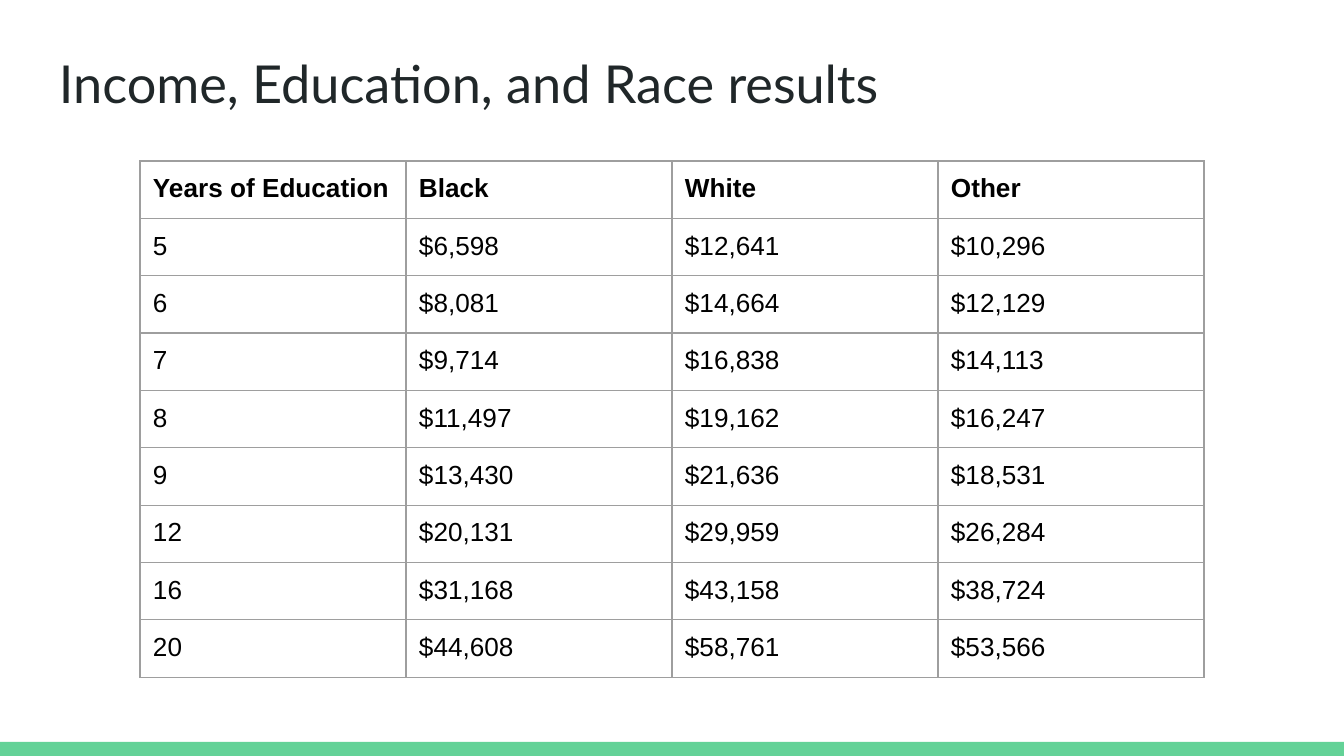
from lxml import etree
from pptx import Presentation
from pptx.dml.color import RGBColor
from pptx.enum.shapes import MSO_SHAPE
from pptx.enum.text import MSO_ANCHOR
from pptx.oxml.ns import qn
from pptx.util import Pt

TITLE = "Income, Education, and Race results"
HEADINGS = ("Years of Education", "Black", "White", "Other")
INCOMES = [
    (5, 6598, 12641, 10296),
    (6, 8081, 14664, 12129),
    (7, 9714, 16838, 14113),
    (8, 11497, 19162, 16247),
    (9, 13430, 21636, 18531),
    (12, 20131, 29959, 26284),
    (16, 31168, 43158, 38724),
    (20, 44608, 58761, 53566),
]

INK = RGBColor(0x20, 0x27, 0x29)
BLACK = RGBColor(0x00, 0x00, 0x00)
GREEN = RGBColor(0x63, 0xD2, 0x97)
GREY = RGBColor(0x9E, 0x9E, 0x9E)

TITLE_FONT = {"name": "Lato", "size": Pt(28), "bold": False}
HEADING_FONT = {"name": "Arial", "size": Pt(14), "bold": True}
BODY_FONT = {**HEADING_FONT, "bold": False}

RECTANGLE = MSO_SHAPE.RECTANGLE
TOP = MSO_ANCHOR.TOP

PAGE_WIDTH, PAGE_HEIGHT = 1344, 756
BAR_HEIGHT = 14
TITLE_BOX = (46, 38, 1252, 84)
TABLE_LEFT, TABLE_TOP = 140, 161
COLUMN_WIDTH, ROW_HEIGHT = 266, 56
INSET = 13
BORDER = Pt(0.75)
SIDES = ("a:lnL", "a:lnR", "a:lnT", "a:lnB")


def px(length):
    return round(length * 914400 / 134.4)


def set_insets(target):
    for side in ("left", "right", "top", "bottom"):
        setattr(target, f"margin_{side}", px(INSET))


def write(frame, text, font, color):
    span = frame.paragraphs[0].add_run()
    span.text = text
    for name, value in font.items():
        setattr(span.font, name, value)
    span.font.color.rgb = color


def add_borders(cell):
    properties = cell._tc.get_or_add_tcPr()
    for position, side in enumerate(SIDES):
        line = etree.Element(qn(side), w=str(BORDER))
        fill = etree.SubElement(line, qn("a:solidFill"))
        etree.SubElement(fill, qn("a:srgbClr"), val=str(GREY))
        properties.insert(position, line)


def add_bar(page):
    bar = page.shapes.add_shape(
        RECTANGLE, 0, px(PAGE_HEIGHT - BAR_HEIGHT), px(PAGE_WIDTH), px(BAR_HEIGHT)
    )
    bar.shadow.inherit = False
    bar.fill.solid()
    bar.fill.fore_color.rgb = GREEN
    bar.line.fill.background()


def add_title(page):
    frame = page.shapes.add_textbox(*map(px, TITLE_BOX)).text_frame
    frame.word_wrap = True
    frame.vertical_anchor = TOP
    set_insets(frame)
    write(frame, TITLE, TITLE_FONT, INK)


def add_income_table(page):
    rows = [HEADINGS]
    rows += [(str(years), *(f"${income:,}" for income in incomes)) for years, *incomes in INCOMES]
    table = page.shapes.add_table(
        len(rows), len(HEADINGS), px(TABLE_LEFT), px(TABLE_TOP),
        px(COLUMN_WIDTH * len(HEADINGS)), px(ROW_HEIGHT * len(rows)),
    ).table
    table.first_row = table.horz_banding = False
    for column in table.columns:
        column.width = px(COLUMN_WIDTH)
    for row_index, texts in enumerate(rows):
        table.rows[row_index].height = px(ROW_HEIGHT)
        font = BODY_FONT if row_index else HEADING_FONT
        for column_index, text in enumerate(texts):
            cell = table.cell(row_index, column_index)
            cell.fill.background()
            set_insets(cell)
            write(cell.text_frame, text, font, BLACK)
            add_borders(cell)


def main():
    deck = Presentation()
    deck.slide_width, deck.slide_height = px(PAGE_WIDTH), px(PAGE_HEIGHT)
    page = deck.slides.add_slide(deck.slide_layouts[6])
    add_bar(page)
    add_title(page)
    add_income_table(page)
    deck.save("out.pptx")


if __name__ == "__main__":
    main()
